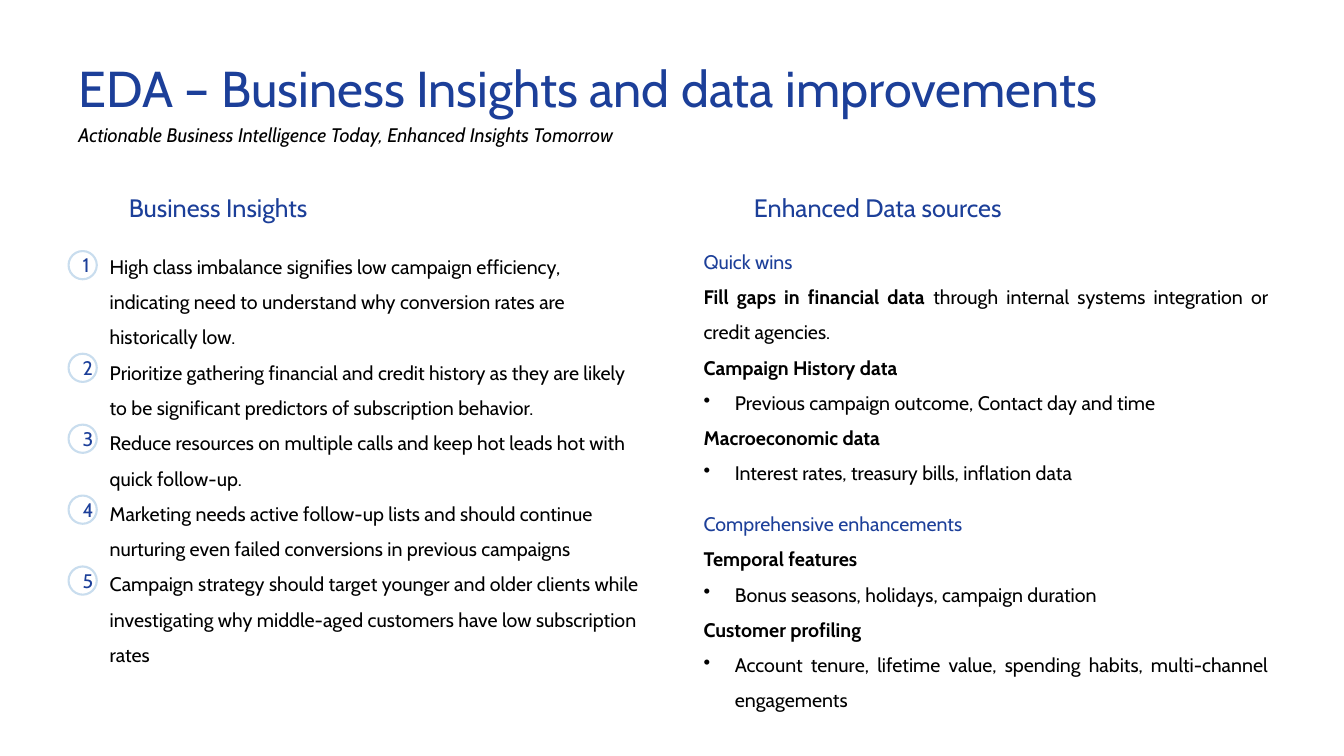
from lxml import etree
from pptx import Presentation
from pptx import util as u
from pptx.dml.color import RGBColor
from pptx.enum import shapes, text
from pptx.oxml.ns import qn

COLOURS = {"navy": "1C3F99", "ink": "000000", "ring": "C9DDEE", "paper": "FFFFFF"}

INSIGHTS = [
    "High class imbalance signifies low campaign efficiency, indicating need to "
    "understand why conversion rates are historically low.",
    "Prioritize gathering financial and credit history as they are likely to be "
    "significant predictors of subscription behavior.",
    "Reduce resources on multiple calls and keep hot leads hot with quick follow-up.",
    "Marketing needs active follow-up lists and should continue nurturing even "
    "failed conversions in previous campaigns",
    "Campaign strategy should target younger and older clients while investigating "
    "why middle-aged customers have low subscription rates",
]

# Each entry: kind of line, then its text runs
SOURCES = [
    ("theme", "Quick wins"),
    ("lead", "Fill gaps in financial data ",
     "through internal systems integration or credit agencies."),
    ("lead", "Campaign History data"),
    ("bullet", "Previous campaign outcome, Contact day and time"),
    ("lead", "Macroeconomic data"),
    ("bullet", "Interest rates, treasury bills, inflation data"),
    ("theme", "Comprehensive enhancements"),
    ("lead", "Temporal features"),
    ("bullet", "Bonus seasons, holidays, campaign duration"),
    ("lead", "Customer profiling"),
    ("bullet", "Account tenure, lifetime value, spending habits, "
               "multi-channel engagements"),
]


class Page:
    """Holds the slide and its style; lengths are in grid columns and rows."""
    font = "Cabin"
    left, top = 0.68, 0.52
    column, row = 0.2, 0.35  # a row is one line of body text
    hanging = 0.31

    def __init__(self, slide):
        self.slide = slide

    def place(self, col, row, cols, rows):
        return (u.Inches(self.left + col * self.column),
                u.Inches(self.top + row * self.row),
                u.Inches(cols * self.column), u.Inches(rows * self.row))

    def colour(self, name):
        return RGBColor.from_string(COLOURS[name])

    def run(self, paragraph, words, size=14, colour="ink", bold=False, italic=False):
        run = paragraph.add_run()
        run.text = words
        font = run.font
        font.name, font.size = self.font, u.Pt(size)
        font.bold, font.italic = bold, italic
        font.color.rgb = self.colour(colour)

    def frame(self, *cells):
        frame = self.slide.shapes.add_textbox(*self.place(*cells)).text_frame
        frame.word_wrap = True
        return frame

    def line(self, *cells, words, **style):
        frame = self.frame(*cells)
        frame.auto_size = text.MSO_AUTO_SIZE.SHAPE_TO_FIT_TEXT
        self.run(frame.paragraphs[0], words, **style)

    def panel(self, *cells, heading, align):
        """Add a body column with its indented heading."""
        frame = self.frame(*cells)
        first = self.spaced(frame.paragraphs[0], align, indent=0.5)
        self.run(first, heading, 18, "navy")
        return frame

    def spaced(self, paragraph, align, indent=0.0, before=0, bullet=False):
        paragraph.alignment = align
        paragraph.line_spacing = 1.5
        if before:
            paragraph.space_before = u.Pt(before)
        props = paragraph._p.get_or_add_pPr()
        props.set("marL", str(u.Inches(indent)))
        props.set("indent", str(-u.Inches(indent) if bullet else 0))
        if bullet:
            etree.SubElement(props, qn("a:buChar")).set("char", "•")
        return paragraph

    def badge(self, row, number):
        size = 0.28
        circle = self.slide.shapes.add_shape(
            shapes.MSO_SHAPE.OVAL,
            *self.place(0, row, size / self.column, size / self.row))
        circle.shadow.inherit = False
        circle.fill.solid()
        circle.fill.fore_color.rgb = self.colour("paper")
        circle.line.color.rgb = self.colour("ring")
        circle.line.width = u.Pt(1.5)
        frame = circle.text_frame
        frame.vertical_anchor = text.MSO_ANCHOR.MIDDLE
        frame.paragraphs[0].alignment = text.PP_ALIGN.CENTER
        self.run(frame.paragraphs[0], str(number), colour="navy")


def add_insights(page):
    align = text.PP_ALIGN.LEFT
    panel = page.panel(0, 3.4, 29, 15.37, heading="Business Insights", align=align)
    for number, insight in enumerate(INSIGHTS, 1):
        first = number == 1
        paragraph = page.spaced(panel.add_paragraph(), align, page.hanging,
                                before=14.6 if first else 0)
        page.run(paragraph, insight)
        # The first insight takes three rows, the others two
        page.badge(5.63 if first else 8.54 + 2.01 * (number - 2), number)


def add_sources(page):
    align = text.PP_ALIGN.JUSTIFY
    panel = page.panel(31, 3.4, 29, 15.37, heading="Enhanced Data sources", align=align)
    for kind, opening, *rest in SOURCES:
        bullet, theme = kind == "bullet", kind == "theme"
        paragraph = page.spaced(panel.add_paragraph(), align,
                                page.hanging if bullet else 0,
                                before=10.9 if theme else 0, bullet=bullet)
        page.run(paragraph, opening, colour="navy" if theme else "ink",
                 bold=kind == "lead")
        for words in rest:
            page.run(paragraph, words)


def main():
    deck = Presentation()
    deck.slide_width, deck.slide_height = u.Inches(13.33), u.Inches(7.5)
    page = Page(deck.slides.add_slide(deck.slide_layouts[6]))
    page.line(0, 0, 60, 2.03, words="EDA – Business Insights and data improvements",
              size=36, colour="navy")
    page.line(0, 1.86, 60, 0.97, italic=True,
              words="Actionable Business Intelligence Today, Enhanced Insights Tomorrow")
    add_insights(page)
    add_sources(page)
    deck.save("out.pptx")


if __name__ == "__main__":
    main()
